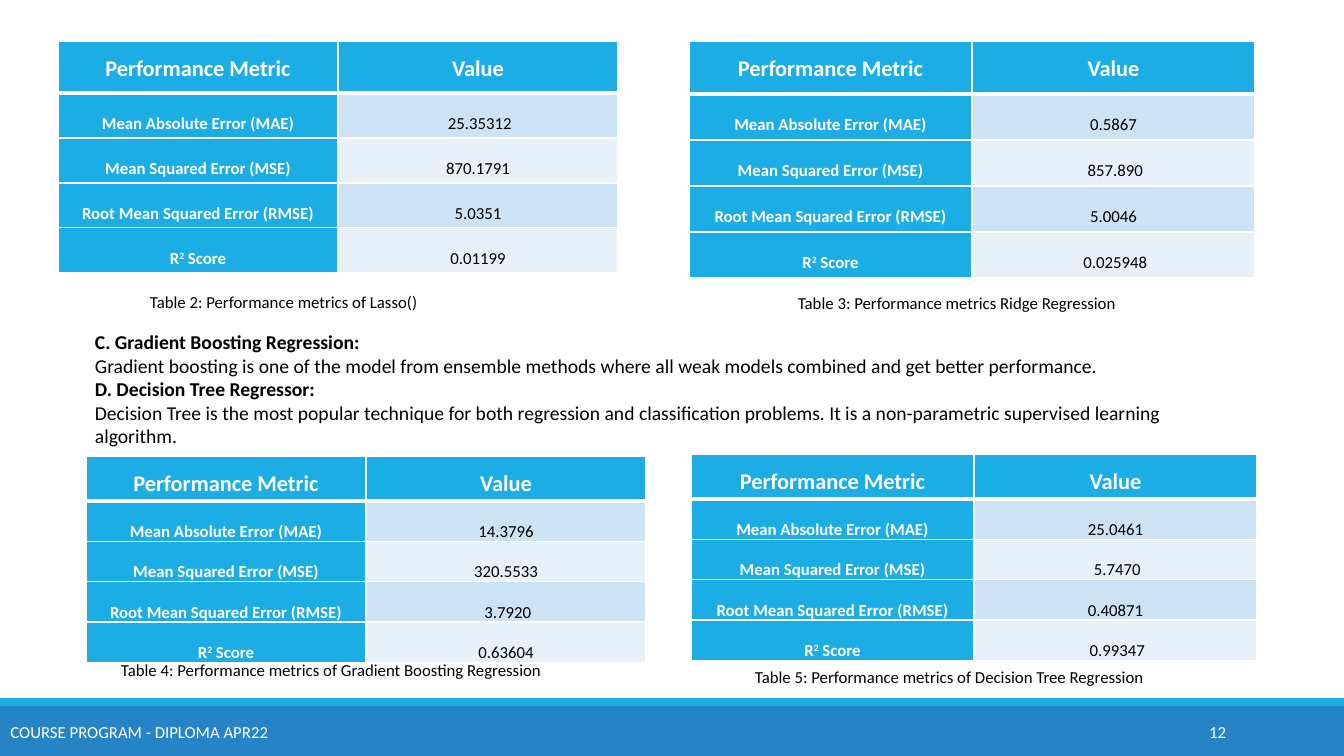
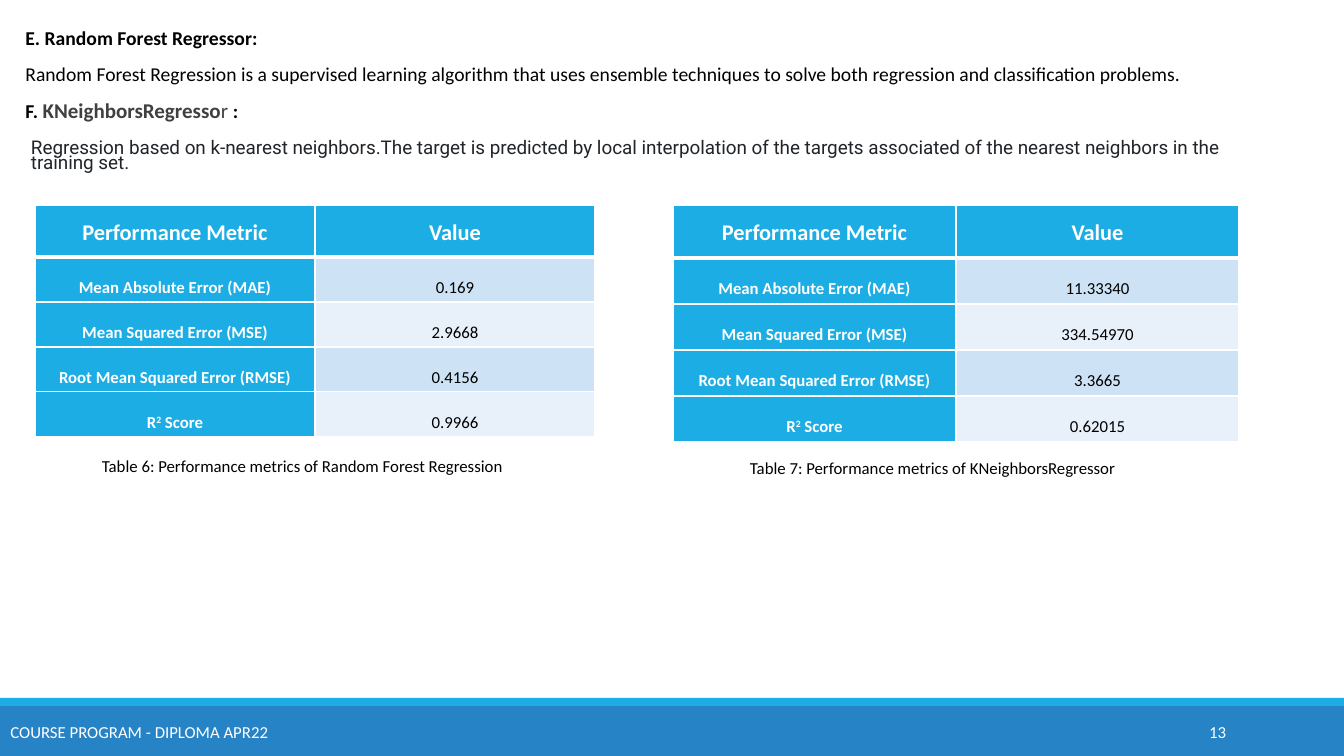
import dataclasses

import lxml.etree
import pptx
import pptx.dml.color
import pptx.enum.shapes
import pptx.enum.text
import pptx.oxml.ns
import pptx.presentation
import pptx.shapes.autoshape
import pptx.slide
import pptx.table
import pptx.text.text
import pptx.util

SLIDE_WIDTH, SLIDE_HEIGHT = 1344, 756
EMU_PER_PIXEL = 12192000 / SLIDE_WIDTH
ALIGN = pptx.enum.text.PP_ALIGN
AUTO_SIZE = pptx.enum.text.MSO_AUTO_SIZE


@dataclasses.dataclass(frozen=True)
class Theme:
    """Colours, fonts and type sizes of the deck."""
    footer_band: str = "2683C6"
    accent: str = "1CADE4"
    stripes: tuple[str, str] = ("CDE3F5", "E8F1FA")
    white: str = "FFFFFF"
    black: str = "000000"
    grey: str = "404040"
    charcoal: str = "212529"
    font: str = "Calibri"
    web_font: str = "Roboto"
    small: float = 12
    quote: float = 13.5
    body: float = 14
    name: float = 15
    header: float = 16
    rule: float = 1
    header_rule: float = 3


THEME = Theme()


@dataclasses.dataclass(frozen=True)
class Box:
    """A rectangle in pixels."""
    left: int
    top: int
    width: int
    height: int

    def emu(self) -> tuple[pptx.util.Emu, ...]:
        """Return left, top, width and height in EMU."""
        return tuple(px(side) for side in dataclasses.astuple(self))


@dataclasses.dataclass(frozen=True)
class Span:
    """A run of text with its formatting."""
    text: str
    size: float = THEME.body
    color: str = THEME.black
    bold: bool = False
    font: str = THEME.font
    superscript: bool = False


@dataclasses.dataclass(frozen=True)
class MetricTable:
    """One model's metrics: place, row sizes, values and caption."""
    left: int
    top: int
    column: int
    header: int
    row: int
    values: tuple[str, str, str, str]
    caption: str
    caption_box: Box


METRICS = (
    ("Mean Absolute Error (MAE)",),
    ("Mean Squared Error (MSE)",),
    ("Root Mean Squared Error (RMSE)",),
    ("R", "2", " Score"),
)

COMPARISON_TABLES = (
    MetricTable(58, 41, 280, 52, 45, (" 25.35312", "870.1791", "5.0351", "0.01199"),
                "Table 2: Performance metrics of Lasso()", Box(140, 287, 432, 30)),
    MetricTable(689, 41, 283, 53, 46, ("0.5867", " 857.890", "5.0046", " 0.025948"),
                "Table 3: Performance metrics Ridge Regression", Box(788, 288, 432, 50)),
    MetricTable(86, 456, 280, 45, 38, ("14.3796", "320.5533", " 3.7920", "0.63604"),
                "Table 4: Performance metrics of Gradient Boosting Regression",
                Box(111, 655, 672, 30)),
    MetricTable(691, 454, 283, 45, 38, ("25.0461", " 5.7470", "0.40871", " 0.99347"),
                "Table 5: Performance metrics of Decision Tree Regression",
                Box(745, 662, 672, 30)),
)

ENSEMBLE_TABLES = (
    MetricTable(35, 205, 280, 52, 45, ("0.169", "2.9668", "0.4156", "0.9966"),
                "Table 6: Performance metrics of Random Forest Regression",
                Box(92, 451, 432, 50)),
    MetricTable(673, 205, 283, 53, 46, ("11.33340", "334.54970", "3.3665", "0.62015"),
                "Table 7: Performance metrics of KNeighborsRegressor",
                Box(740, 453, 432, 30)),
)

BOOSTING_AND_TREE = (
    (Span("C. Gradient Boosting Regression:", bold=True),),
    (Span("Gradient boosting is one of the model from ensemble methods where all weak "
          "models combined and get better performance."),),
    (Span("D. Decision Tree Regressor:", bold=True),),
    (Span("Decision Tree is the most popular technique for both regression and "
          "classification problems. It is a non-parametric supervised learning "
          "algorithm. "),),
)

FOREST_AND_NEIGHBORS = (
    (0, (Span("E. Random Forest Regressor:", bold=True),)),
    (0, (Span("Random Forest Regression is a supervised learning algorithm that uses "
              "ensemble techniques to solve both regression and classification "
              "problems."),)),
    (0, (Span("F. ", bold=True),
         Span("KNeighborsRegresso", THEME.name, THEME.grey, True),
         Span("r ", THEME.name, THEME.grey),
         Span(":", bold=True))),
    (10, (Span("Regression based on k-nearest neighbors.The target is predicted by "
               "local interpolation of the targets associated of the nearest neighbors "
               "in the training set.", THEME.quote, THEME.charcoal,
               font=THEME.web_font),)),
)


def px(pixels: float) -> pptx.util.Emu:
    """Turn pixels into EMU."""
    return pptx.util.Emu(round(pixels * EMU_PER_PIXEL))


def rgb(color: str) -> pptx.dml.color.RGBColor:
    """Turn a hex string into a colour."""
    return pptx.dml.color.RGBColor.from_string(color)


def sub_element(parent: lxml.etree._Element, tag: str, **attributes: str) -> lxml.etree._Element:
    """Append a DrawingML element to a parent."""
    return lxml.etree.SubElement(parent, pptx.oxml.ns.qn(tag), attributes)


def add_spans(paragraph: pptx.text.text._Paragraph, spans: tuple[Span, ...]) -> None:
    """Add the runs of one paragraph."""
    for span in spans:
        run = paragraph.add_run()
        run.text = span.text
        run.font.size = pptx.util.Pt(span.size)
        run.font.name = span.font
        run.font.bold = span.bold
        run.font.color.rgb = rgb(span.color)
        if span.superscript:
            run._r.get_or_add_rPr().set("baseline", "30000")


def add_text(slide: pptx.slide.Slide, box: Box, paragraphs: tuple[tuple[Span, ...], ...],
             align: ALIGN = ALIGN.LEFT, middle: bool = False) -> None:
    """Add a wrapping text box."""
    frame = slide.shapes.add_textbox(*box.emu()).text_frame
    frame.word_wrap = True
    if middle:
        frame.vertical_anchor = pptx.enum.text.MSO_ANCHOR.MIDDLE
    else:
        frame.auto_size = AUTO_SIZE.SHAPE_TO_FIT_TEXT
    for index, spans in enumerate(paragraphs):
        paragraph = frame.add_paragraph() if index else frame.paragraphs[0]
        paragraph.alignment = align
        add_spans(paragraph, spans)


def add_master_bands(deck: pptx.presentation.Presentation, slide: pptx.slide.Slide) -> None:
    """Draw the footer bands and move them to the slide master."""
    for box, color in ((Box(0, 706, SLIDE_WIDTH, 50), THEME.footer_band),
                       (Box(0, 698, SLIDE_WIDTH, 8), THEME.accent)):
        band = slide.shapes.add_shape(pptx.enum.shapes.MSO_SHAPE.RECTANGLE, *box.emu())
        band.shadow.inherit = False
        band.fill.solid()
        band.fill.fore_color.rgb = rgb(color)
        band.line.fill.background()
        deck.slide_master.shapes.element.append(band.element)


def add_footer(slide: pptx.slide.Slide, number: int) -> None:
    """Add the course name and the slide number."""
    for box, text, align in (
            (Box(0, 712, 279, 40), "COURSE PROGRAM - DIPLOMA APR22 ", ALIGN.CENTER),
            (Box(1092, 712, 144, 40), str(number), ALIGN.RIGHT)):
        add_text(slide, box, ((Span(text, THEME.small, THEME.white),),), align, True)


def format_cell(cell: pptx.table._Cell, spans: tuple[Span, ...], fill: str,
                spacing: float, top_rule: float, bottom_rule: float) -> None:
    """Set the text, white borders and fill of a cell."""
    cell.margin_left = cell.margin_right = px(7)
    cell.margin_top = cell.margin_bottom = 0
    paragraph = cell.text_frame.paragraphs[0]
    paragraph.alignment = ALIGN.CENTER
    paragraph.line_spacing = spacing
    add_spans(paragraph, spans)
    properties = cell._tc.get_or_add_tcPr()
    for tag, weight in (("a:lnL", THEME.rule), ("a:lnR", THEME.rule),
                        ("a:lnT", top_rule), ("a:lnB", bottom_rule)):
        border = sub_element(properties, tag, w=str(pptx.util.Pt(weight)))
        sub_element(sub_element(border, "a:solidFill"), "a:srgbClr", val=THEME.white)
    cell.fill.solid()
    cell.fill.fore_color.rgb = rgb(fill)


def add_metric_table(slide: pptx.slide.Slide, metrics: MetricTable) -> None:
    """Add a metric table and its caption."""
    box = Box(metrics.left, metrics.top, 2 * metrics.column,
              metrics.header + len(METRICS) * metrics.row)
    grid = slide.shapes.add_table(len(METRICS) + 1, 2, *box.emu()).table
    for column in grid.columns:
        column.width = px(metrics.column)
    for index, row in enumerate(grid.rows):
        row.height = px(metrics.row if index else metrics.header)
    for index, heading in enumerate(("Performance Metric", "Value")):
        format_cell(grid.cell(0, index), (Span(heading, THEME.header, THEME.white, True),),
                    THEME.accent, 1.5, THEME.rule, THEME.header_rule)
    for index, (parts, value) in enumerate(zip(METRICS, metrics.values)):
        label = tuple(Span(part, THEME.small, THEME.white, True, superscript=part == "2")
                      for part in parts)
        top_rule = THEME.rule if index else THEME.header_rule
        format_cell(grid.cell(index + 1, 0), label, THEME.accent, 2, top_rule, THEME.rule)
        format_cell(grid.cell(index + 1, 1), (Span(value, THEME.small),),
                    THEME.stripes[index % 2], 2, top_rule, THEME.rule)
    add_text(slide, metrics.caption_box, ((Span(metrics.caption, THEME.small),),))


def fill_body(slide: pptx.slide.Slide, box: Box,
              items: tuple[tuple[int, tuple[Span, ...]], ...]) -> None:
    """Place the body placeholder and fill it with blank-bulleted items."""
    body = slide.placeholders[1]
    body.left, body.top, body.width, body.height = box.emu()
    frame = body.text_frame
    frame.auto_size = AUTO_SIZE.NONE
    frame.margin_left = frame.margin_right = 0
    frame.margin_top = frame.margin_bottom = px(5)
    for index, (indent, spans) in enumerate(items):
        paragraph = frame.add_paragraph() if index else frame.paragraphs[0]
        paragraph.alignment = ALIGN.LEFT
        paragraph.line_spacing = 0.7
        paragraph.space_before = pptx.util.Pt(12)
        paragraph.space_after = pptx.util.Pt(2)
        properties = paragraph._p.get_or_add_pPr()
        properties.set("marL", str(px(indent)))
        properties.set("indent", str(px(-10)))
        sub_element(sub_element(properties, "a:buClr"), "a:srgbClr", val=THEME.accent)
        sub_element(properties, "a:buFont", typeface=THEME.font)
        sub_element(properties, "a:buChar", char=" ")
        add_spans(paragraph, spans)


def build() -> None:
    """Build and save the deck."""
    deck = pptx.Presentation()
    deck.slide_width, deck.slide_height = px(SLIDE_WIDTH), px(SLIDE_HEIGHT)

    comparison = deck.slides.add_slide(deck.slide_layouts[6])
    add_master_bands(deck, comparison)
    add_text(comparison, Box(85, 325, 1170, 129), BOOSTING_AND_TREE)

    ensemble = deck.slides.add_slide(deck.slide_layouts[1])
    title = ensemble.shapes.title.element
    title.getparent().remove(title)
    fill_body(ensemble, Box(21, 27, 1243, 182), FOREST_AND_NEIGHBORS)

    for number, slide, tables in ((12, comparison, COMPARISON_TABLES),
                                  (13, ensemble, ENSEMBLE_TABLES)):
        for metrics in tables:
            add_metric_table(slide, metrics)
        add_footer(slide, number)
    deck.save("out.pptx")


build()
